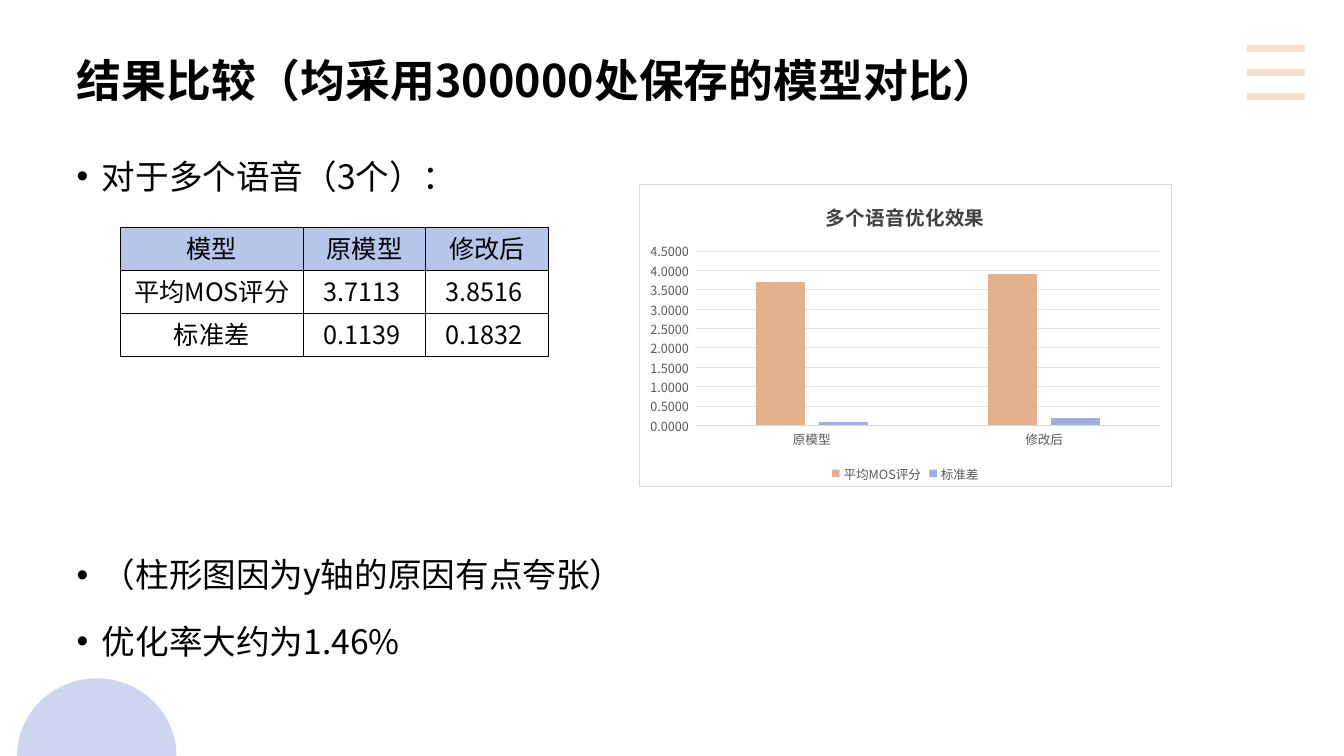
from math import cos, pi, sin

from lxml import etree
from pptx import Presentation
from pptx.chart.data import CategoryChartData
from pptx.dml.color import RGBColor
from pptx.enum.chart import XL_CHART_TYPE, XL_LEGEND_POSITION, XL_TICK_MARK
from pptx.enum.shapes import MSO_CONNECTOR
from pptx.enum.text import MSO_ANCHOR, PP_ALIGN
from pptx.oxml import parse_xml
from pptx.oxml.ns import nsdecls, qn
from pptx.util import Inches, Pt

FONT = "Noto Sans CJK SC"
BLACK = RGBColor(0x00, 0x00, 0x00)
WHITE = RGBColor(0xFF, 0xFF, 0xFF)
ORANGE = RGBColor(0xE2, 0xB0, 0x8A)
PERIWINKLE = RGBColor(0x9F, 0xAE, 0xE0)
HEADER_BLUE = RGBColor(0xB5, 0xC6, 0xEA)
TITLE_GREY = RGBColor(0x40, 0x40, 0x40)
LABEL_GREY = RGBColor(0x59, 0x59, 0x59)
BORDER_GREY = RGBColor(0xD9, 0xD9, 0xD9)
GRID_GREY = RGBColor(0xE6, 0xE6, 0xE6)

TITLE = "结果比较（均采用300000处保存的模型对比）"
BULLET_GROUPS = [
    (1.43, ["对于多个语音（3个）："]),
    (5.38, ["（柱形图因为y轴的原因有点夸张）", "优化率大约为1.46%"]),
]
TABLE_ROWS = [
    ["模型", "原模型", "修改后"],
    ["平均MOS评分", "3.7113 ", "3.8516 "],
    ["标准差", "0.1139 ", "0.1832 "],
]
COLUMN_WIDTHS = [1.82, 1.21, 1.22]
TABLE_HEIGHT = 1.28
CHART_TITLE = "多个语音优化效果"
CHART_MODELS = ["原模型", "修改后"]
CHART_SERIES = [
    ("平均MOS评分", [3.7, 3.9], ORANGE),
    ("标准差", [0.1, 0.2], PERIWINKLE),
]


def style_font(font, size, color, bold=False):
    font.name, font.size, font.bold = FONT, Pt(size), bold
    font.color.rgb = color


def style_paragraph(para, size, bold=False):
    for span in para.runs:
        style_font(span.font, size, BLACK, bold)
        properties = span.font._element
        properties.set("lang", "zh-CN")
        latin = properties.find(qn("a:latin"))
        latin.addnext(parse_xml(f'<a:ea {nsdecls("a")} typeface="{FONT}"/>'))


def set_alpha(element, percent):
    """Make the first solid colour inside the element partly transparent."""
    color = next(element.iter(qn("a:srgbClr")))
    etree.SubElement(color, qn("a:alpha")).set("val", str(percent * 1000))


def add_text(page, top, height, lines):
    box = page.shapes.add_textbox(Inches(0.76), Inches(top), Inches(11.81), Inches(height))
    frame = box.text_frame
    frame.word_wrap = True
    frame.margin_left = frame.margin_right = frame.margin_top = frame.margin_bottom = 0
    frame.text = "\n".join(lines)
    return frame


def add_bullets(page, top, lines):
    for para in add_text(page, top, 0.66 * len(lines), lines).paragraphs:
        style_paragraph(para, 24)
        para.line_spacing, para.space_before = 1.3, Pt(10)
        properties = para._p.get_or_add_pPr()
        properties.set("marL", str(Inches(0.25)))
        properties.set("indent", str(-Inches(0.25)))
        properties.append(parse_xml(f'<a:buFont {nsdecls("a")} typeface="Arial"/>'))
        properties.append(parse_xml(f'<a:buChar {nsdecls("a")} char="•"/>'))


def add_decoration(page):
    for index in range(3):
        y = Inches(0.48 + 0.24 * index)
        bar = page.shapes.add_connector(MSO_CONNECTOR.STRAIGHT, Inches(12.37), y, Inches(12.94), y)
        bar.line.color.rgb, bar.line.width = ORANGE, Pt(5)
        set_alpha(bar.line._ln, 40)
        etree.SubElement(bar._element.spPr, qn("a:effectLst"))

    steps = 60
    arc = [
        (Inches(0.96 - 0.79 * cos(pi * i / steps)), Inches(7.5 - 0.77 * sin(pi * i / steps)))
        for i in range(steps + 1)
    ]
    builder = page.shapes.build_freeform(*arc[0], scale=1.0)
    builder.add_line_segments(arc[1:], close=True)
    dome = builder.convert_to_shape()
    dome.shadow.inherit = False
    dome.fill.solid()
    dome.fill.fore_color.rgb = PERIWINKLE
    set_alpha(dome._element.spPr, 50)
    dome.line.fill.background()


def add_borders(cell):
    properties = cell._tc.get_or_add_tcPr()
    for index, side in enumerate(("lnL", "lnR", "lnT", "lnB")):
        properties.insert(index, parse_xml(
            f'<a:{side} {nsdecls("a")} w="{Pt(0.5)}"><a:solidFill>'
            f'<a:srgbClr val="{BLACK}"/></a:solidFill></a:{side}>'))


def add_score_table(page):
    table = page.shapes.add_table(
        len(TABLE_ROWS), len(COLUMN_WIDTHS), Inches(1.19), Inches(2.26),
        Inches(sum(COLUMN_WIDTHS)), Inches(TABLE_HEIGHT)).table
    table.horz_banding = False
    for column, width in zip(table.columns, COLUMN_WIDTHS):
        column.width = Inches(width)
    for r, row in enumerate(TABLE_ROWS):
        for c, text in enumerate(row):
            cell = table.cell(r, c)
            cell.text = text
            cell.vertical_anchor = MSO_ANCHOR.MIDDLE
            cell.margin_left = cell.margin_right = cell.margin_top = Inches(0.01)
            cell.margin_bottom = Inches(0.05)
            if r == 0:
                cell.fill.solid()
                cell.fill.fore_color.rgb = HEADER_BLUE
            else:
                cell.fill.background()
            add_borders(cell)
            para = cell.text_frame.paragraphs[0]
            para.alignment = PP_ALIGN.CENTER
            style_paragraph(para, 18)


def add_score_chart(page):
    data = CategoryChartData(number_format="0.0000_ ")
    data.categories = CHART_MODELS
    for name, values, _ in CHART_SERIES:
        data.add_series(name, values)
    chart = page.shapes.add_chart(
        XL_CHART_TYPE.COLUMN_CLUSTERED, Inches(6.34), Inches(1.83),
        Inches(5.28), Inches(3), data).chart
    style_font(chart.font, 10, BLACK)

    chart.has_title = True
    chart.chart_title.include_in_layout = False
    frame = chart.chart_title.text_frame
    frame.text = CHART_TITLE
    style_font(frame.paragraphs[0].runs[0].font, 14, TITLE_GREY, True)

    chart.has_legend = True
    chart.legend.position = XL_LEGEND_POSITION.BOTTOM
    chart.legend.include_in_layout = False
    style_font(chart.legend.font, 9, LABEL_GREY)

    for axis in (chart.category_axis, chart.value_axis):
        axis.major_tick_mark = axis.minor_tick_mark = XL_TICK_MARK.NONE
        style_font(axis.tick_labels.font, 9, LABEL_GREY)
    axis_line = chart.category_axis.format.line
    axis_line.color.rgb, axis_line.width = BORDER_GREY, Pt(0.75)
    chart.value_axis.format.line.fill.background()
    grid = chart.value_axis.major_gridlines.format.line
    grid.color.rgb, grid.width = GRID_GREY, Pt(0.75)

    plot = chart.plots[0]
    plot.gap_width, plot.overlap, plot.vary_by_categories = 246, -28, False
    for series, (_, _, color) in zip(plot.series, CHART_SERIES):
        series.format.fill.solid()
        series.format.fill.fore_color.rgb = color

    chart._chartSpace.chart.addnext(parse_xml(
        f'<c:spPr {nsdecls("c", "a")}><a:solidFill><a:srgbClr val="{WHITE}"/></a:solidFill>'
        f'<a:ln w="{Pt(0.75)}"><a:solidFill><a:srgbClr val="{BORDER_GREY}"/></a:solidFill>'
        '</a:ln></c:spPr>'))


def main():
    deck = Presentation()
    deck.slide_width, deck.slide_height = Inches(13.33), Inches(7.5)
    page = deck.slides.add_slide(deck.slide_layouts[6])
    add_decoration(page)
    title = add_text(page, 0.39, 0.79, [TITLE])
    title.vertical_anchor = MSO_ANCHOR.MIDDLE
    style_paragraph(title.paragraphs[0], 32, bold=True)
    for top, lines in BULLET_GROUPS:
        add_bullets(page, top, lines)
    add_score_table(page)
    add_score_chart(page)
    deck.save("out.pptx")


if __name__ == "__main__":
    main()
